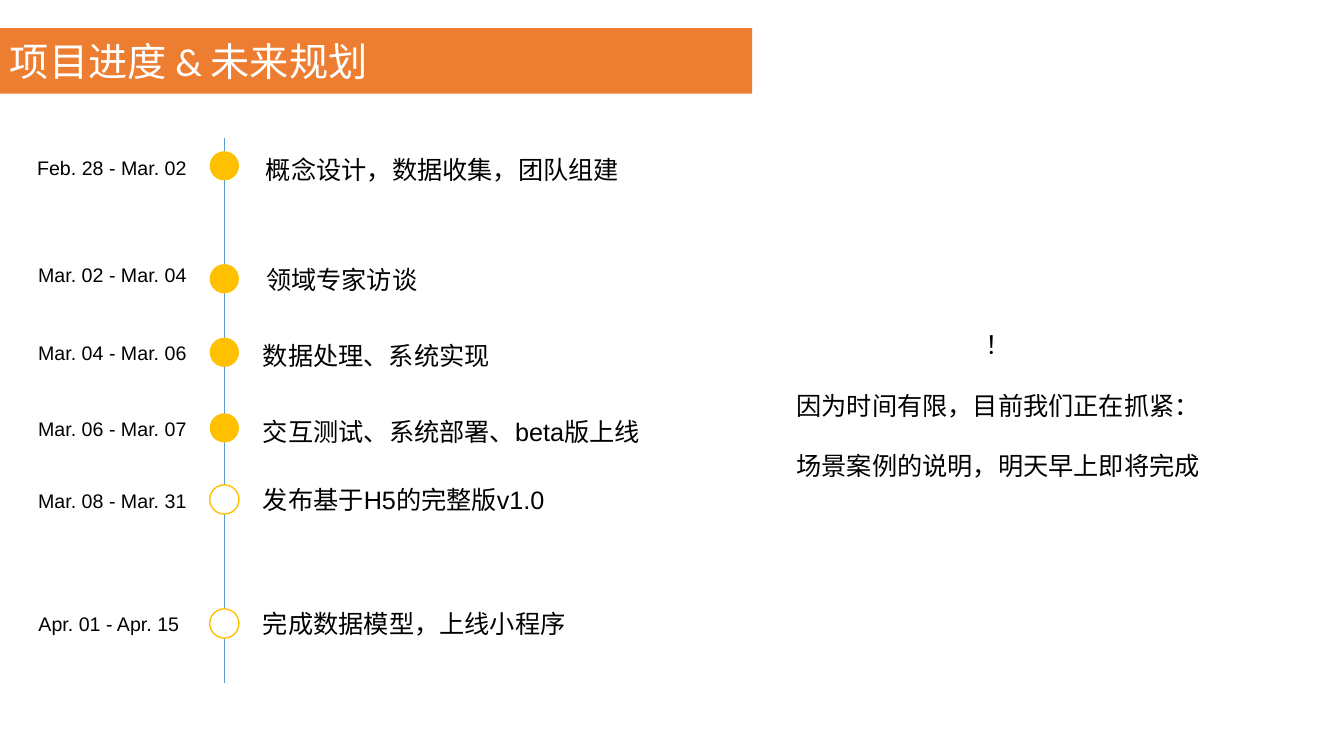
from lxml import etree
from pptx import Presentation
from pptx.dml.color import RGBColor
from pptx.enum.shapes import MSO_CONNECTOR, MSO_SHAPE
from pptx.enum.text import MSO_ANCHOR, MSO_AUTO_SIZE, PP_ALIGN
from pptx.oxml.ns import qn
from pptx.util import Inches, Pt

COLORS = {
    "banner": "ED7D31",
    "axis": "5B9BD5",
    "dot": "FFC000",
    "white": "FFFFFF",
    "text": "000000",
}


def color(name):
    return RGBColor.from_string(COLORS[name])


def add_text(left, top, width, height, lines, size, align=PP_ALIGN.LEFT, wrap=False, spacing=1.0, gap=0):
    box = slide.shapes.add_textbox(Inches(left), Inches(top), Inches(width), Inches(height))
    frame = box.text_frame
    frame.word_wrap = wrap
    frame.auto_size = MSO_AUTO_SIZE.SHAPE_TO_FIT_TEXT
    for index, line in enumerate(lines):
        paragraph = frame.add_paragraph() if index else frame.paragraphs[0]
        paragraph.alignment = align
        paragraph.line_spacing = spacing
        if index:
            paragraph.space_before = Pt(gap)
        run = paragraph.add_run()
        run.text = line
        run.font.name = "Arial"
        run.font.size = Pt(size)
        run.font.color.rgb = color("text")


presentation = Presentation()
presentation.slide_width = Inches(13.33)
presentation.slide_height = Inches(7.5)
slide = presentation.slides.add_slide(presentation.slide_layouts[6])

banner = slide.shapes.add_shape(MSO_SHAPE.RECTANGLE, Inches(0), Inches(0.28), Inches(7.46), Inches(0.65))
banner.shadow.inherit = False
banner.fill.solid()
banner.fill.fore_color.rgb = color("banner")
banner.line.fill.background()
banner.text_frame.vertical_anchor = MSO_ANCHOR.MIDDLE
title = banner.text_frame.paragraphs[0]
title.alignment = PP_ALIGN.LEFT
title_run = title.add_run()
title_run.text = "项目进度 & 未来规划"
title_run.font.name = "Calibri"
title_run.font.size = Pt(28)
title_run.font.color.rgb = color("white")

axis = slide.shapes.add_connector(MSO_CONNECTOR.STRAIGHT, Inches(2.23), Inches(1.37), Inches(2.23), Inches(6.78))
axis.line.color.rgb = color("axis")
axis.line.width = Pt(0.5)
etree.SubElement(axis.element.spPr, qn("a:effectLst"))

# dates, date top, date width, dot top, done, task, left, top, width, wrap, spacing
milestones = [
    ("Feb. 28 - Mar. 02", 1.5, 1.78, 1.5, True, "概念设计，数据收集，团队组建", 2.54, 1.42, 3.8, True, 1.2),
    ("Mar. 02 - Mar. 04", 2.56, 1.79, 2.62, True, "领域专家访谈", 2.54, 2.57, 1.72, False, 1.0),
    ("Mar. 04 - Mar. 06", 3.33, 1.79, 3.35, True, "数据处理、系统实现", 2.51, 3.27, 3.57, True, 1.2),
    ("Mar. 06 - Mar. 07", 4.09, 1.79, 4.1, True, "交互测试、系统部署、beta版上线", 2.51, 4.02, 4.09, True, 1.2),
    ("Mar. 08 - Mar. 31", 4.8, 1.79, 4.81, False, "发布基于H5的完整版v1.0", 2.51, 4.76, 3.05, True, 1.0),
    ("Apr. 01 - Apr. 15", 6.02, 1.72, 6.04, False, "完成数据模型，上线小程序", 2.51, 5.99, 3.28, False, 1.0),
]
for dates, date_top, date_width, dot_top, done, task, left, top, width, wrap, spacing in milestones:
    dot = slide.shapes.add_shape(MSO_SHAPE.OVAL, Inches(2.08), Inches(dot_top), Inches(0.29), Inches(0.29))
    dot.shadow.inherit = False
    dot.fill.solid()
    dot.fill.fore_color.rgb = color("dot" if done else "white")
    if done:
        dot.line.fill.background()
    else:
        dot.line.color.rgb = color("dot")
        dot.line.width = Pt(1)
    add_text(0.22, date_top, date_width, 0.34, [dates], 14, PP_ALIGN.CENTER)
    add_text(left, top, width, 0.43 if spacing > 1 else 0.4, [task], 18, wrap=wrap, spacing=spacing)

notice = ["！", "因为时间有限，目前我们正在抓紧：", "场景案例的说明，明天早上即将完成"]
add_text(7.78, 3.22, 4.24, 1.62, notice, 18, PP_ALIGN.CENTER, gap=21.6)

presentation.save("out.pptx")
